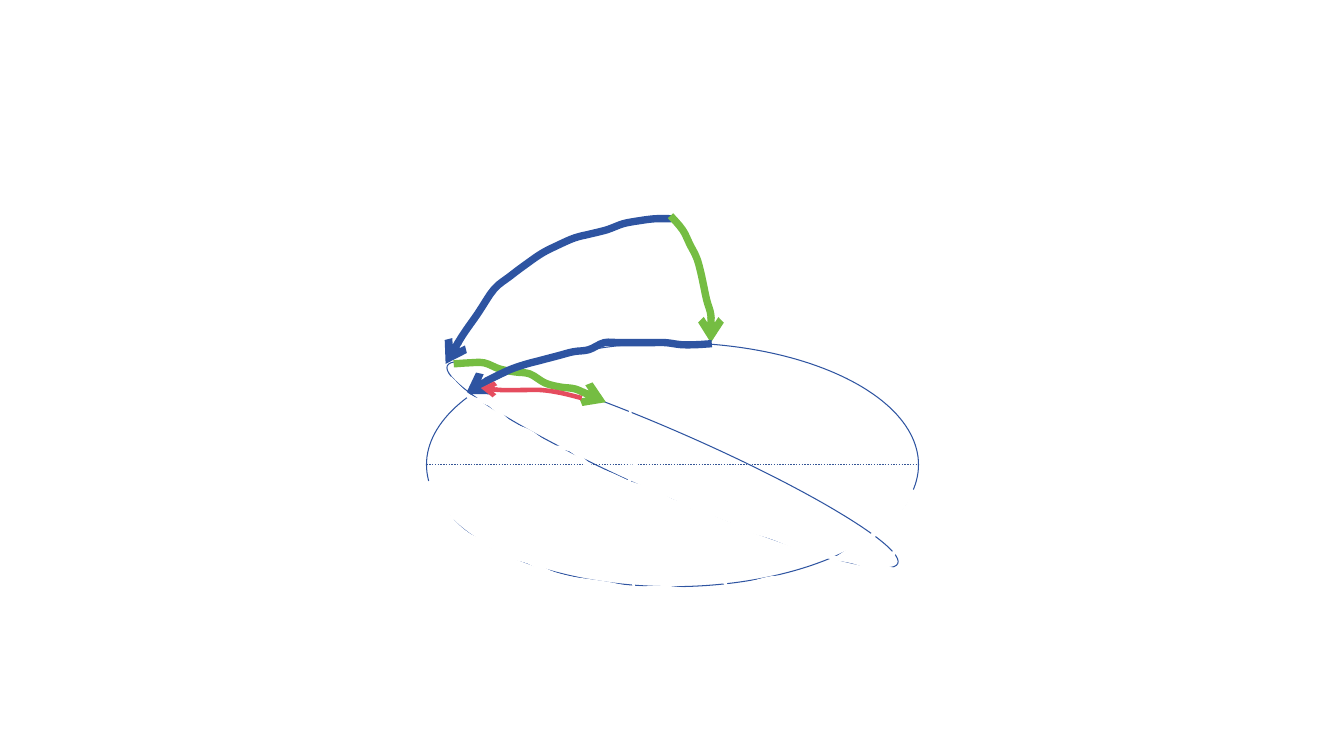
from dataclasses import dataclass

import lxml.etree
import pptx
import pptx.dml.color
import pptx.enum.dml
import pptx.enum.shapes
import pptx.oxml.ns
import pptx.util

Inches = pptx.util.Inches
Point = tuple[float, float]
COLORS = {"blue": "2E54A1", "axis": "355696", "green": "75BD42", "red": "E54C5E", "white": "FFFFFF"}
CENTER_X, CENTER_Y, RADIUS = 6.67, 4.61, 2.44
SAMPLES_PER_SPAN = 4


@dataclass(frozen=True)
class Orbit:
    """A circle of the common radius seen at a slant."""
    height: float
    rotation: float


@dataclass(frozen=True)
class Stroke:
    """A hand-drawn curve: equal steps from start to end along one axis, offsets on the other."""
    color: str
    weight: float
    start: float
    end: float
    offsets: tuple[float, ...]
    vertical: bool = False
    arrow: bool = False

    def knots(self) -> list[Point]:
        step = (self.end - self.start) / (len(self.offsets) - 1)
        pairs = [(self.start + index * step, offset) for index, offset in enumerate(self.offsets)]
        return [(offset, along) for along, offset in pairs] if self.vertical else pairs


TILTED_ORBIT = Orbit(height=0.64, rotation=23.7)
FLAT_ORBIT = Orbit(height=2.42, rotation=0)

# White strokes cover the sphere's far outline and the near halves of the orbits.
SPHERE_BOWL = Stroke("white", 2.75, 4.44, 8.99, (
    5.47, 5.99, 6.26, 6.45, 6.63, 6.67, 6.73, 6.71, 6.67, 6.56, 6.43, 6.14, 5.85, 5.26))
MERIDIAN = Stroke("white", 2, 2.23, 6.94, (
    6.56, 6.4, 6.31, 6.27, 6.25, 6.24, 6.25, 6.26, 6.31, 6.41, 6.55), vertical=True)
DIAGONAL = Stroke("white", 2, 5.18, 7.96, (
    2.7, 3.37, 3.81, 4.25, 4.61, 5.04, 5.35, 5.7, 6.06, 6.28, 6.56))
TILTED_NEAR_HALF = Stroke("white", 3, 4.46, 8.86, (
    3.75, 3.94, 4.01, 4.2, 4.29, 4.43, 4.46, 4.63, 4.71, 4.8, 4.86, 4.97,
    5.03, 5.13, 5.21, 5.27, 5.33, 5.41, 5.48, 5.53, 5.57, 5.63, 5.65))
FLAT_NEAR_HALF = Stroke("white", 3.5, 4.24, 9.06, (
    4.78, 5.12, 5.31, 5.4, 5.51, 5.57, 5.68, 5.74, 5.77, 5.8, 5.84, 5.84, 5.84,
    5.86, 5.86, 5.84, 5.79, 5.74, 5.73, 5.65, 5.57, 5.44, 5.31, 5.14, 4.86))

# Blue arrows run left along the arcs, green ones step down, red marks the gap between the tips.
UPPER_BLUE = Stroke("blue", 5.25, 6.66, 4.42, (
    2.17, 2.17, 2.19, 2.22, 2.28, 2.32, 2.36, 2.43,
    2.51, 2.62, 2.74, 2.87, 3.11, 3.34, 3.61), arrow=True)
RIGHT_GREEN = Stroke("green", 5.25, 2.14, 3.4, (
    6.65, 6.77, 6.84, 6.91, 6.95, 6.98, 7.01, 7.05, 7.05, 7.05), vertical=True, arrow=True)
LEFT_GREEN = Stroke("green", 5.25, 4.5, 6.01, (
    3.61, 3.6, 3.6, 3.66, 3.69, 3.71, 3.8, 3.84, 3.86, 3.93, 3.99), arrow=True)
LOWER_BLUE = Stroke("blue", 5.25, 7.06, 4.62, (
    3.41, 3.42, 3.42, 3.4, 3.4, 3.4, 3.4, 3.4, 3.47,
    3.49, 3.53, 3.57, 3.61, 3.66, 3.73, 3.81, 3.91), arrow=True)
TIP_GAP = Stroke("red", 3.25, 5.77, 4.77, (3.95, 3.9, 3.87, 3.87, 3.87, 3.85), arrow=True)

BACK_TO_FRONT = (
    SPHERE_BOWL, MERIDIAN, DIAGONAL,
    UPPER_BLUE, RIGHT_GREEN, LEFT_GREEN, LOWER_BLUE, TIP_GAP,
    TILTED_NEAR_HALF, FLAT_NEAR_HALF,
)


def smooth(knots: list[Point]) -> list[Point]:
    """Pass a Catmull-Rom curve through the knots."""
    padded = [knots[0], *knots, knots[-1]]
    curve = [knots[0]]
    for before, start, end, after in zip(padded, padded[1:], padded[2:], padded[3:]):
        for sample in range(1, SAMPLES_PER_SPAN + 1):
            t = sample / SAMPLES_PER_SPAN
            x, y = (
                b + (c - a) * t / 2
                + (2 * a - 5 * b + 4 * c - d) * t ** 2 / 2
                + (3 * b - a - 3 * c + d) * t ** 3 / 2
                for a, b, c, d in zip(before, start, end, after))
            curve.append((x, y))
    return curve


def set_line(shape, color: str, weight: float) -> None:
    shape.line.color.rgb = pptx.dml.color.RGBColor.from_string(COLORS[color])
    shape.line.width = pptx.util.Pt(weight)


def set_outline_only(shape, color: str, weight: float) -> None:
    shape.shadow.inherit = False
    shape.fill.background()
    set_line(shape, color, weight)


def draw_orbit(slide, orbit: Orbit) -> None:
    shape = slide.shapes.add_shape(
        pptx.enum.shapes.MSO_SHAPE.OVAL,
        Inches(CENTER_X - RADIUS), Inches(CENTER_Y - orbit.height / 2),
        Inches(2 * RADIUS), Inches(orbit.height))
    shape.rotation = orbit.rotation
    set_outline_only(shape, "blue", 0.75)


def draw_axis(slide) -> None:
    connector = slide.shapes.add_connector(
        pptx.enum.shapes.MSO_CONNECTOR.STRAIGHT,
        Inches(CENTER_X - RADIUS), Inches(CENTER_Y),
        Inches(CENTER_X + RADIUS), Inches(CENTER_Y))
    set_line(connector, "axis", 1)
    connector.line.dash_style = pptx.enum.dml.MSO_LINE.ROUND_DOT
    lxml.etree.SubElement(connector._element.spPr, pptx.oxml.ns.qn("a:effectLst"))


def draw_stroke(slide, stroke: Stroke) -> None:
    points = [(Inches(x), Inches(y)) for x, y in smooth(stroke.knots())]
    builder = slide.shapes.build_freeform(*points[0])
    builder.add_line_segments(points[1:], close=False)
    shape = builder.convert_to_shape()
    set_outline_only(shape, stroke.color, stroke.weight)
    line = shape.line._get_or_add_ln()
    lxml.etree.SubElement(line, pptx.oxml.ns.qn("a:round"))
    if stroke.arrow:
        lxml.etree.SubElement(line, pptx.oxml.ns.qn("a:tailEnd"), type="arrow")


def main() -> None:
    presentation = pptx.Presentation()
    presentation.slide_width = Inches(13.33)
    presentation.slide_height = Inches(7.5)
    slide = presentation.slides.add_slide(presentation.slide_layouts[6])
    for orbit in (TILTED_ORBIT, FLAT_ORBIT):
        draw_orbit(slide, orbit)
    draw_axis(slide)
    for stroke in BACK_TO_FRONT:
        draw_stroke(slide, stroke)
    presentation.save("out.pptx")


if __name__ == "__main__":
    main()
